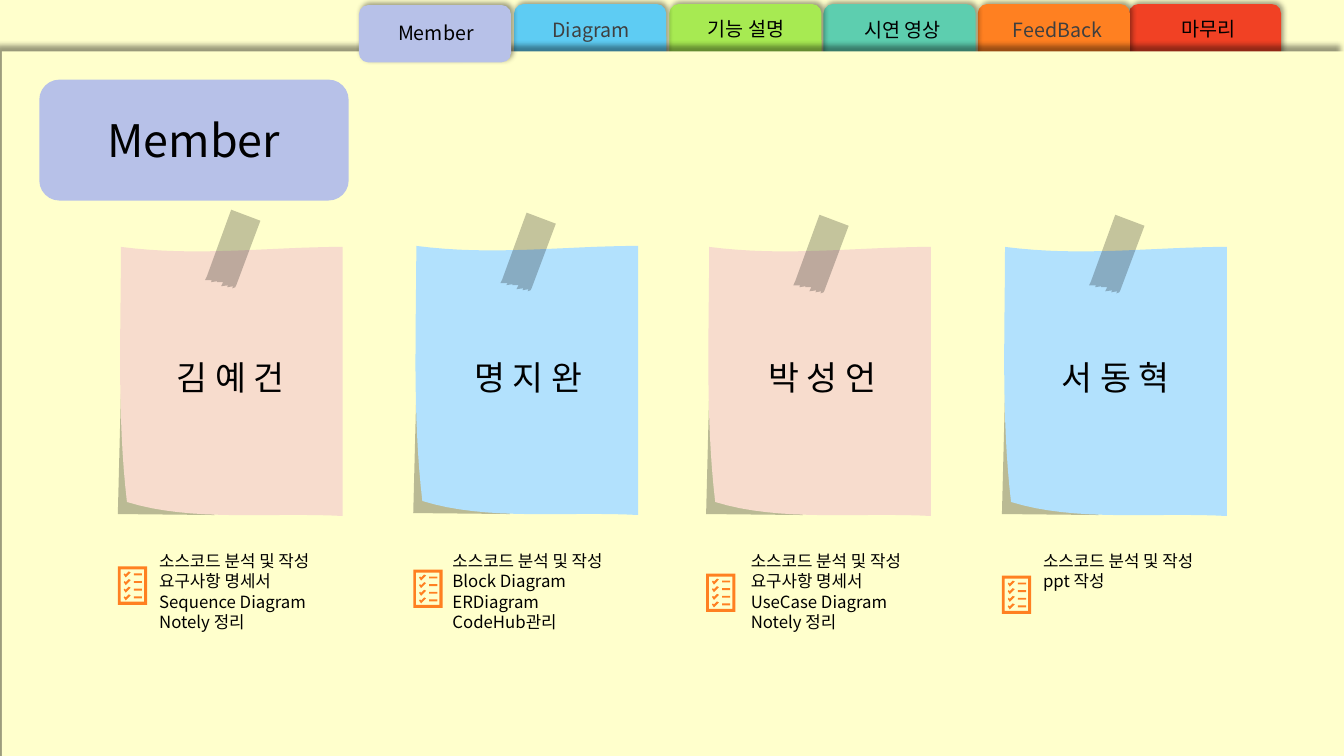
from math import cos, radians, sin

from pptx import Presentation
from pptx.dml.color import RGBColor
from pptx.enum import shapes, text
from pptx.oxml import parse_xml
from pptx.oxml.ns import nsdecls, qn
from pptx.util import Pt

# Content: tabs as label, colour, text colour, tab left and top, text left, top and width
FONT = "Noto Sans CJK KR"
PAPER, LAVENDER, ORANGE, BLACK, GREY = "FFFFCC", "B7C1E8", "FF8021", "000000", "3F3F3F"
PINK, BLUE = "F7DCCD", "B2E1FD"
TABS = [
    ("마무리", "F14124", BLACK, 806.4, 2.9, 821.5, 5.8, 84.2),
    ("FeedBack", ORANGE, GREY, 698.4, 2.9, 707.8, 6.5, 95),
    ("시연 영상", "5DCEAF", BLACK, 588.2, 2.9, 602.6, 6.5, 84.2),
    ("기능 설명", "A7EA52", BLACK, 478.1, 2.9, 491, 5.8, 84.2),
    ("Diagram", "5ECCF3", GREY, 367.2, 2.9, 380.2, 6.5, 84.2),
    ("Member", LAVENDER, BLACK, 256.3, 3.6, 269.3, 8.6, 84.2),
]
# Members as name, note colour, note left and top, name left, tape middle, icon top, tasks left, tasks
MEMBERS = [
    ("김 예 건", PINK, 84.2, 176.4, 85.7, 178.6, 404.6, 106.6,
     ["소스코드 분석 및 작성", "요구사항 명세서", "Sequence Diagram", "Notely 정리"]),
    ("명 지 완", BLUE, 295.2, 175.7, 298.1, 180.7, 406.8, 316.1,
     ["소스코드 분석 및 작성", "Block Diagram", "ERDiagram", "CodeHub관리"]),
    ("박 성 언", PINK, 504.4, 176.4, 508.3, 182.2, 409.7, 529.2,
     ["소스코드 분석 및 작성", "요구사항 명세서", "UseCase Diagram", "Notely 정리"]),
    ("서 동 혁", BLUE, 715.7, 176.4, 717.8, 182.2, 411.1, 738,
     ["소스코드 분석 및 작성", "ppt 작성"]),
]

# Outlines, each relative to its own anchor
FOLD = [(2.2, 105.1), (0, 190.8), (69.1, 191.5)]
SHEET_CURVES = [
    [(2.2, 0), (57.6, 7.2), (108, 0), (160.6, 0)],
    [(160.6, 192.2), (109.4, 189.4), (52.6, 196.6), (6.5, 182.2)],
    [(6.5, 182.2), (-0.7, 120.2), (2.2, 57.6), (2.2, 0)],
]
TAPE_ANGLE = 320.8
TAPE = [(-0.7, -28.8), (20.2, -20.9), (2.9, 25.2), (2.2, 26.6), (0, 27.4), (0.7, 25.9),
        (-3.6, 26.6), (-2.9, 25.2), (-7.9, 25.9), (-6.5, 23), (-10.8, 23), (-10.8, 22.3),
        (-15.1, 23), (-14.4, 21.6), (-19.4, 21.6), (-18, 18.7)]
FRAME_HOLE = [(18.7, 2.2), (18.7, 25.2), (1.9, 25.2), (1.9, 2.2)]
FRAME_EDGE = [(0, 0), (0, 27.4), (20.9, 27.4), (20.9, 0)]
CHECK = [(3.6, 0), (1.4, 2.2), (0.7, 1.4), (0, 2.2), (1.4, 4.3), (5, 0.7)]

presentation = Presentation()
presentation.slide_width, presentation.slide_height = Pt(960), Pt(540)
slide = presentation.slides.add_slide(presentation.slide_layouts[6])


def paint(fill, color, alpha=None):
    fill.solid()
    fill.fore_color.rgb = RGBColor.from_string(color)
    if alpha:
        color_element = fill._xPr.find(qn("a:solidFill"))[0]
        color_element.append(parse_xml(f'<a:alpha {nsdecls("a")} val="{alpha * 1000}"/>'))


def finish(shape, color, alpha=None):
    paint(shape.fill, color, alpha)
    shape.line.fill.background()
    shape.shadow.inherit = False


def add_box(parent, kind, left, top, width, height, color):
    shape = parent.add_shape(kind, Pt(left), Pt(top), Pt(width), Pt(height))
    finish(shape, color)
    return shape


def cast_shadow(shape, distance, direction):
    effects = shape._element.spPr.find(qn("a:effectLst"))
    effects.append(parse_xml(
        f'<a:outerShdw {nsdecls("a")} blurRad="{Pt(4)}" dist="{Pt(distance)}" '
        f'dir="{direction * 60000}" algn="ctr" rotWithShape="0">'
        f'<a:srgbClr val="{BLACK}"><a:alpha val="40000"/></a:srgbClr></a:outerShdw>'))


def add_outline(parent, contours, left, top, color, alpha=None):
    placed = [[(Pt(left + x), Pt(top + y)) for x, y in contour] for contour in contours]
    builder = parent.build_freeform(*placed[0][0])
    builder.add_line_segments(placed[0][1:])
    for contour in placed[1:]:
        builder.move_to(*contour[0])
        builder.add_line_segments(contour[1:])
    shape = builder.convert_to_shape()
    finish(shape, color, alpha)
    return shape


def curve_points(start, first, second, end, steps=16):
    for step in range(steps + 1):
        t = step / steps
        weights = ((1 - t) ** 3, 3 * t * (1 - t) ** 2, 3 * t * t * (1 - t), t ** 3)
        yield tuple(sum(w * p[axis] for w, p in zip(weights, (start, first, second, end)))
                    for axis in (0, 1))


def add_text(lines, left, top, width, height, size, color=BLACK, centred=True, spacing=None):
    frame = slide.shapes.add_textbox(Pt(left), Pt(top), Pt(width), Pt(height)).text_frame
    frame.word_wrap = True
    frame.vertical_anchor = text.MSO_ANCHOR.MIDDLE if centred else text.MSO_ANCHOR.TOP
    for index, line in enumerate(lines):
        paragraph = frame.paragraphs[0] if index == 0 else frame.add_paragraph()
        paragraph.text = line
        paragraph.alignment = text.PP_ALIGN.CENTER if centred else text.PP_ALIGN.LEFT
        if spacing:
            paragraph.line_spacing = Pt(spacing)
        paragraph.font.size = Pt(size)
        paragraph.font.name = FONT
        paint(paragraph.font.fill, color)
        paragraph.font._element.append(
            parse_xml(f'<a:ea {nsdecls("a")} typeface="{FONT}"/>'))
    return frame


def add_tab(tab):
    _, color, _, left, top = tab[:5]
    shape = add_box(slide.shapes, shapes.MSO_SHAPE.ROUNDED_RECTANGLE, left, top, 108.7, 41, color)
    cast_shadow(shape, 2, 315)


def add_checklist(left, top):
    icon = slide.shapes.add_group_shape().shapes
    add_outline(icon, [FRAME_HOLE, FRAME_EDGE], left, top, ORANGE)
    for row in range(4):
        drop = top + 5.45 * row
        add_box(icon, shapes.MSO_SHAPE.RECTANGLE, left + 11.4, drop + 5, 5.8, 1.4, ORANGE)
        add_outline(icon, [CHECK], left + 4.2, drop + 3.6, ORANGE)


# Background, tabs behind the page, page, and the open tab in front
paint(slide.background.fill, PAPER)
for tab in TABS[:-1]:
    add_tab(tab)
page = add_box(slide.shapes, shapes.MSO_SHAPE.RECTANGLE, 1.4, 36.7, 960, 537.8, PAPER)
cast_shadow(page, 5, 225)
add_tab(TABS[-1])

# Title and tab labels
add_box(slide.shapes, shapes.MSO_SHAPE.ROUNDED_RECTANGLE, 28.1, 56.9, 221, 86.4, LAVENDER)
add_text(["Member"], 28.1, 79.2, 221, 41, 32)
for label, _, color, _, _, left, top, width in TABS:
    add_text([label], left, top, width, 28.8, 14, color)

# Member notes, each with tape, checklist icon and tasks
sheet = [point for curve in SHEET_CURVES for point in curve_points(*curve)]
turn = radians(TAPE_ANGLE)
flat_tape = [(x * cos(turn) + y * sin(turn), y * cos(turn) - x * sin(turn)) for x, y in TAPE]
for name, color, left, top, name_left, tape_middle, icon_top, tasks_left, tasks in MEMBERS:
    add_outline(slide.shapes, [FOLD], left, top, BLACK, 27)
    add_outline(slide.shapes, [sheet], left, top, color)
    add_text([name], name_left, 250.6, 158.4, 37.4, 24)
    tape = add_outline(slide.shapes, [flat_tape], left + 81.4, tape_middle, BLACK, 23)
    tape.rotation = TAPE_ANGLE
    add_checklist(left, icon_top)
    frame = add_text(tasks, tasks_left, 388.5, 158.4, 67.7, 12, centred=False, spacing=14.5)
    frame.margin_top = Pt(4.9)

presentation.save("out.pptx")
